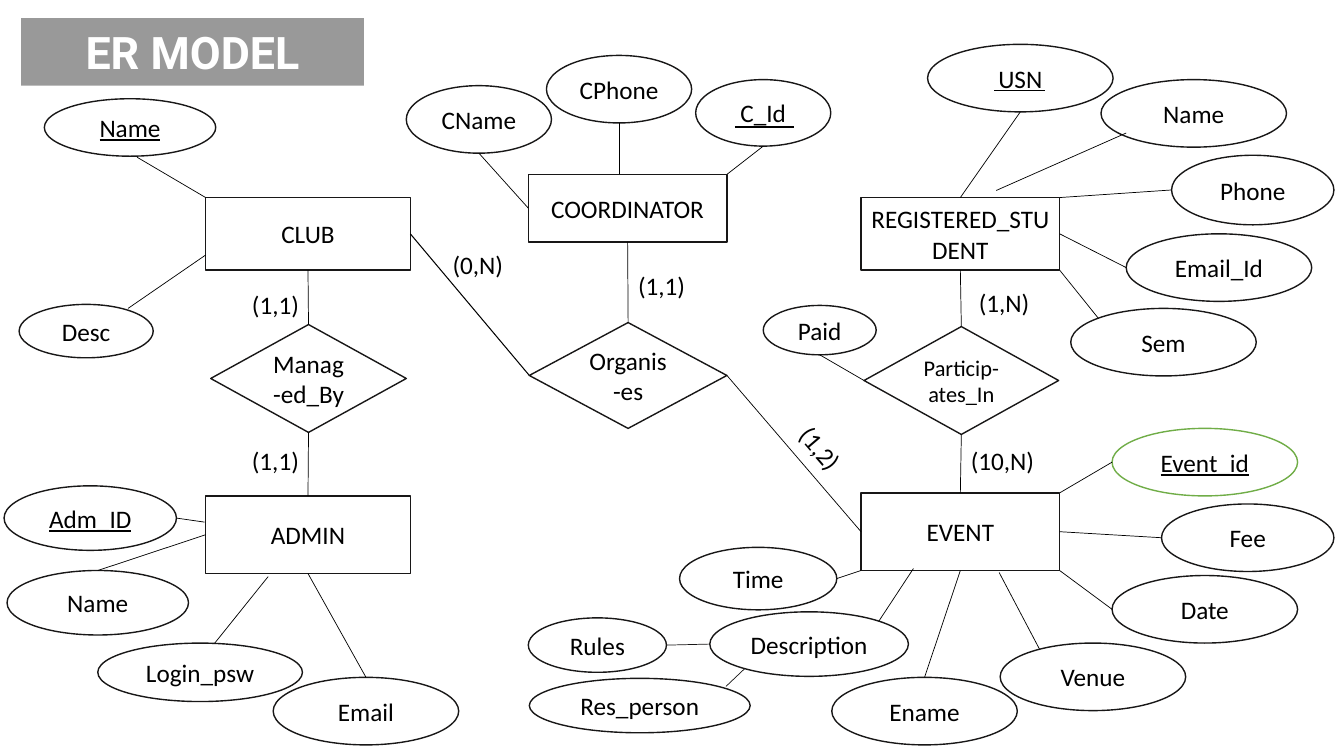
"""Build the ER model slide of a club and event database."""
from dataclasses import dataclass

from lxml.etree import SubElement
from pptx import Presentation
from pptx.dml.color import RGBColor
from pptx.enum.shapes import MSO_CONNECTOR as Connector, MSO_SHAPE as Preset
from pptx.enum.text import MSO_ANCHOR as Anchor, MSO_AUTO_SIZE as AutoSize, PP_ALIGN as Align
from pptx.oxml.ns import qn
from pptx.util import Inches, Pt

COLUMNS, ROWS = 1333, 750
TITLE = ("ER MODEL", (21, 18, 340, 67))

ENTITIES = {
    "club": ("CLUB", (204, 196, 203, 72)),
    "student": ("REGISTERED_STUDENT", (854, 196, 197, 72)),
    "admin": ("ADMIN", (204, 492, 203, 77)),
    "event": ("EVENT", (854, 489, 197, 77)),
    "coordinator": ("COORDINATOR", (524, 173, 197, 67)),
}
ATTRIBUTES = {
    "club name": ("Name", (44, 98, 170, 57)),
    "club desc": ("Desc", (19, 302, 133, 53)),
    "admin id": ("Adm_ID", (4, 482, 171, 64)),
    "admin name": ("Name", (7, 566, 180, 64)),
    "login": ("Login_psw", (97, 638, 203, 58)),
    "admin email": ("Email", (271, 672, 184, 67)),
    "coordinator name": ("CName", (403, 85, 144, 67)),
    "coordinator phone": ("CPhone", (542, 55, 144, 67)),
    "coordinator id": ("C_Id", (690, 79, 134, 66)),
    "phone": ("Phone", (1162, 154, 161, 69)),
    "student name": ("Name", (1092, 79, 184, 67)),
    "student email": ("Email_Id", (1117, 232, 184, 67)),
    "usn": ("USN", (920, 44, 184, 67)),
    "semester": ("Sem", (1062, 306, 184, 67)),
    "paid": ("Paid", (757, 303, 112, 49)),
    "date": ("Date", (1103, 571, 184, 67)),
    "fee": ("Fee", (1152, 500, 171, 67)),
    "venue": ("Venue", (992, 638, 184, 67)),
    "event id": ("Event_id", (1103, 425, 184, 67)),
    "event name": ("Ename", (825, 672, 184, 67)),
    "time": ("Time", (674, 543, 156, 62)),
    "description": ("Description", (704, 607, 197, 64)),
    "rules": ("Rules", (524, 613, 137, 54)),
    "person": ("Res_person", (525, 673, 219, 54)),
}
RELATIONS = {
    "managed": ("Manag-ed_By", (209, 322, 194, 107)),
    "participates": ("Particip-ates_In", (857, 324, 193, 107)),
    "organises": ("Organis-es", (525, 320, 196, 105)),
}
KEYS = {"club name", "admin id", "event id"}
HIGHLIGHTED = {"event id"}
COMPACT = {"participates"}

LINKS = {
    "main": [(("club", "right"), ("organises", "left"))],
    "plain": [
        (("organises", "right"), ("event", "left")),
        (("club", "top left"), (136, 156)),
        ((204, 253), (127, 306)),
        (("club", "bottom"), ("managed", "top")),
        (("managed", "bottom"), ("admin", "top")),
        (("admin id", "right"), (203, 518)),
        (("admin", "left"), ("admin name", "top")),
        ((266, 572), (213, 638)),
        (("admin", "bottom"), ("admin email", "top")),
        (("coordinator name", "bottom"), ("coordinator", "left")),
        (("coordinator phone", "bottom"), (614, 173)),
        (("coordinator", "top right"), ("coordinator id", "bottom")),
        (("coordinator", "bottom"), ("organises", "top")),
        (("student", "top"), ("usn", "bottom")),
        ((988, 189), (1117, 132)),
        (("student", "top right"), ("phone", "left")),
        (("student", "right"), ("student email", "left")),
        (("student", "bottom right"), ("semester", "top left")),
        (("participates", "top"), ("student", "bottom")),
        (("paid", "bottom"), ("participates", "left")),
        (("participates", "bottom"), ("event", "top")),
        (("event", "top right"), ("event id", "left")),
        (("event", "right"), ("fee", "left")),
        (("event", "bottom right"), ("date", "left")),
        ((991, 568), (1031, 644)),
        (("event", "bottom"), ("event name", "top")),
        ((906, 564), ("description", "top right")),
        (("time", "right"), ("event", "bottom left")),
    ],
    "detail": [
        (("rules", "right"), ("description", "left")),
        ((720, 681), (739, 663)),
    ],
    "underline": [((986, 90), (1036, 90)), ((729, 126), (788, 126))],
}
CARDINALITIES = [
    ("(1,1)", (240, 282, 68, 40), 0),
    ("(1,1)", (240, 437, 73, 40), 0),
    ("(0,N)", (439, 242, 72, 40), 0),
    ("(1,2)", (779, 428, 75, 40), 49.5),
    ("(1,N)", (961, 280, 86, 40), 0),
    ("(10,N)", (953, 437, 88, 40), 0),
    ("(1,1)", (623, 263, 81, 40), 0),
]
SITES = {"top": 0, "left": 1, "bottom": 2, "right": 3}
STEPS = {"top": (0, -1), "left": (-1, 0), "bottom": (0, 1), "right": (1, 0)}


@dataclass(frozen=True)
class Theme:
    """Colours, fonts and sizes of the diagram."""
    paper: str = "FFFFFF"
    ink: str = "000000"
    outline: str = "181717"
    accent: str = "70AD47"
    body_font: str = "Calibri"
    title_font: str = "Roboto"
    body: int = 18
    small: int = 16
    title: int = 32
    title_opacity: int = 40000
    border: float = 1


THEME = Theme()
LINK_STYLES = {"main": (THEME.ink, 0.75), "plain": (THEME.ink, 0.5),
               "detail": (THEME.outline, 0.5), "underline": (THEME.ink, 1)}

deck = Presentation()
deck.slide_width, deck.slide_height = Inches(13.33), Inches(7.5)
page = deck.slides.add_slide(deck.slide_layouts[5])


def cells(*values):
    """Turn alternating column and row counts into slide lengths."""
    units = (deck.slide_width / COLUMNS, deck.slide_height / ROWS)
    return [round(value * units[index % 2]) for index, value in enumerate(values)]


def write(box, text, size=THEME.body, color=THEME.ink, face=THEME.body_font, align=Align.CENTER):
    """Put one formatted paragraph into a box and return its font."""
    box.text_frame.text = text
    para = box.text_frame.paragraphs[0]
    para.alignment = align
    font = para.runs[0].font
    font.name, font.size, font.color.rgb = face, Pt(size), RGBColor.from_string(color)
    return font


def add_nodes(preset, nodes):
    """Draw one kind of node and return its shapes by key."""
    drawn = {}
    for key, (text, place) in nodes.items():
        box = drawn[key] = page.shapes.add_shape(preset, *cells(*place))
        box.shadow.inherit = False
        box.fill.solid()
        box.fill.fore_color.rgb = RGBColor.from_string(THEME.paper)
        edge = THEME.accent if key in HIGHLIGHTED else THEME.outline
        box.line.color.rgb = RGBColor.from_string(edge)
        box.line.width = Pt(THEME.border)
        box.text_frame.vertical_anchor = Anchor.MIDDLE
        font = write(box, text, THEME.small if key in COMPACT else THEME.body)
        if key in KEYS:
            font.underline = True
    return drawn


def locate(end):
    """Find the point of a link end, given as a cell or as a node and side."""
    if end[0] not in shapes:
        return cells(*end)
    box, sides = shapes[end[0]], end[1].split()
    reach = 0.35 if len(sides) == 2 and end[0] in ATTRIBUTES else 0.5
    across, down = (sum(STEPS[side][axis] for side in sides) for axis in (0, 1))
    return (round(box.left + box.width * (0.5 + across * reach)),
            round(box.top + box.height * (0.5 + down * reach)))


def add_link(begin, end, color, width):
    """Draw a line and join it to entity and relation sides."""
    link = page.shapes.add_connector(Connector.STRAIGHT, *locate(begin), *locate(end))
    link.line.color.rgb, link.line.width = RGBColor.from_string(color), Pt(width)
    SubElement(link._element.spPr, qn("a:effectLst"))
    for (key, side), join in ((begin, link.begin_connect), (end, link.end_connect)):
        if key in shapes and key not in ATTRIBUTES and side in SITES:
            join(shapes[key], SITES[side])


title = page.shapes.title
title.left, title.top, title.width, title.height = cells(*TITLE[1])
title.fill.solid()
title.fill.fore_color.rgb = RGBColor.from_string(THEME.ink)
tint = title._element.spPr.find(qn("a:solidFill"))[0]
SubElement(tint, qn("a:alpha"), val=str(THEME.title_opacity))
title.text_frame.vertical_anchor = Anchor.MIDDLE
title.text_frame.auto_size = AutoSize.NONE
write(title, TITLE[0], THEME.title, THEME.paper, THEME.title_font).bold = True

shapes = {}
for preset, nodes in ((Preset.RECTANGLE, ENTITIES), (Preset.OVAL, ATTRIBUTES),
                      (Preset.DIAMOND, RELATIONS)):
    shapes.update(add_nodes(preset, nodes))
for style, links in LINKS.items():
    for begin, end in links:
        add_link(begin, end, *LINK_STYLES[style])
for text, place, angle in CARDINALITIES:
    label = page.shapes.add_textbox(*cells(*place))
    label.rotation = angle
    label.text_frame.word_wrap = True
    label.text_frame.auto_size = AutoSize.SHAPE_TO_FIT_TEXT
    write(label, text, align=Align.LEFT)

deck.save("out.pptx")
